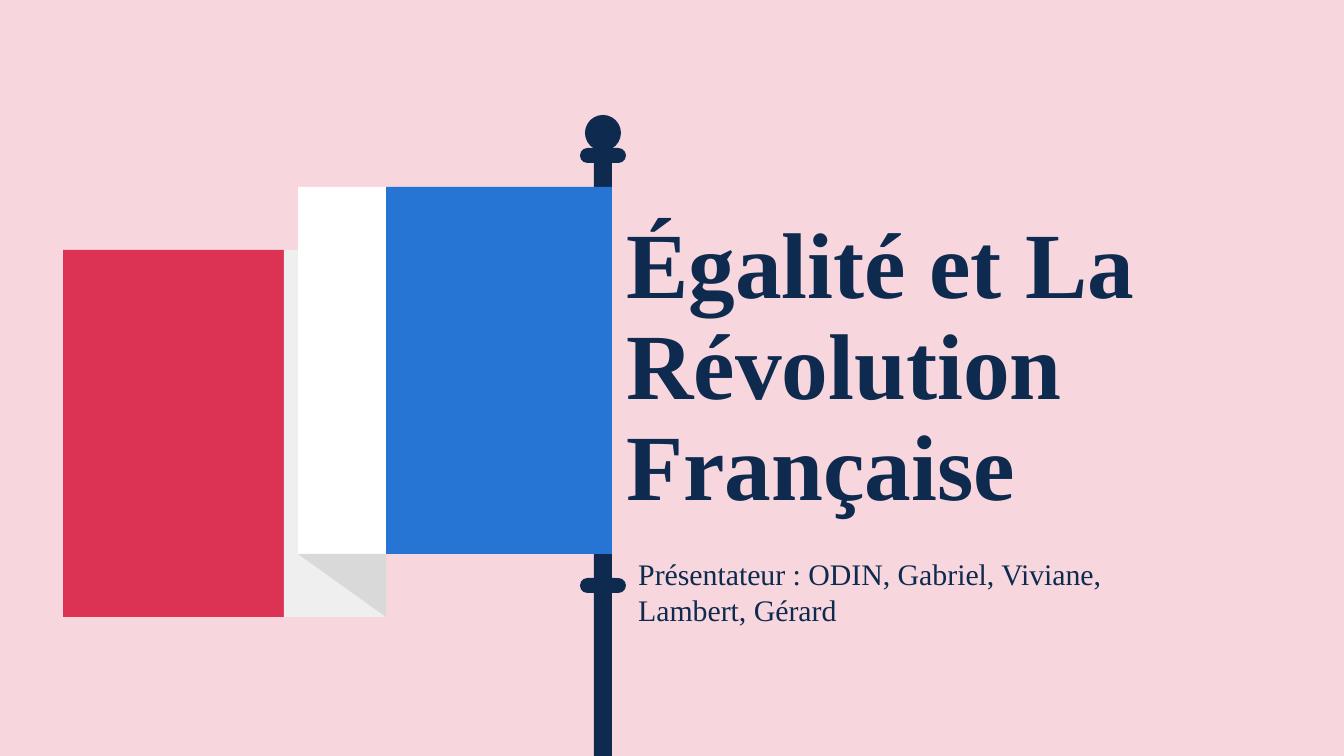
from pptx import Presentation
from pptx import util as u
from pptx.dml.color import RGBColor
from pptx.enum import shapes, text

PX = 914400 / 134.4
WIDE, HIGH = 1344, 756
FONT = "Times New Roman"
HUES = {
    "pink": "F7D6DD", "navy": "0E2B4F", "red": "DC3354", "blue": "2674D4",
    "pale": "EFEFEF", "grey": "D9D9D9", "white": "FFFFFF",
}

TITLE = "Égalité et La Révolution Française"
CAST = "Présentateur : ODIN, Gabriel, Viviane, Lambert, Gérard"

KIND = shapes.MSO_SHAPE
POLE = [  # kind, left, top, width, height
    (KIND.RECTANGLE, 594, 156, 18, HIGH - 156),
    (KIND.ROUNDED_RECTANGLE, 580, 148, 46, 15),
    (KIND.ROUNDED_RECTANGLE, 580, 578, 46, 15),
    (KIND.OVAL, 585, 115, 36, 36),
]

# The flag hangs at two levels, with a fold between them
TALL, HIGH_TOP, LOW_TOP = 367, 187, 250
EDGE, SEAM, FOLD, BEND, MAST = 63, 284, 298, 386, 612
BANDS = [  # hue, left, right, top
    ("red", EDGE, SEAM, LOW_TOP),
    ("pale", SEAM, BEND, LOW_TOP),
    ("blue", BEND, MAST, HIGH_TOP),
    ("white", FOLD, BEND, HIGH_TOP),
]
SHADE = [(FOLD, HIGH_TOP + TALL), (BEND, LOW_TOP + TALL), (BEND, HIGH_TOP + TALL)]


def px(n):
    return u.Emu(round(n * PX))


def rgb(hue):
    return RGBColor.from_string(HUES[hue])


def paint(shape, hue):
    shape.shadow.inherit = False
    shape.fill.solid()
    shape.fill.fore_color.rgb = rgb(hue)
    shape.line.fill.background()


def write(shape, words, look, anchor):
    frame = shape.text_frame
    frame.text = words
    form = {
        "word_wrap": True, "auto_size": text.MSO_AUTO_SIZE.NONE,
        "vertical_anchor": anchor,
    }
    for side in ("left", "right", "top", "bottom"):
        form["margin_" + side] = u.Inches(0.1)
    for key, val in form.items():
        setattr(frame, key, val)
    para = frame.paragraphs[0]
    para.alignment = text.PP_ALIGN.LEFT
    font = para.runs[0].font
    for key, val in look.items():
        setattr(font, key, val)
    font.color.rgb = rgb("navy")
    return para


def main():
    deck = Presentation()
    deck.slide_width, deck.slide_height = px(WIDE), px(HIGH)
    slide = deck.slides.add_slide(deck.slide_layouts[5])
    slide.background.fill.solid()
    slide.background.fill.fore_color.rgb = rgb("pink")

    title = slide.shapes.title
    title.left, title.top, title.width, title.height = map(px, (613, 254, 774, 231))
    look = {"name": FONT, "size": u.Pt(50), "bold": True}
    write(title, TITLE, look, text.MSO_ANCHOR.MIDDLE).line_spacing = 0.9

    cast = slide.shapes.add_textbox(*map(px, (625, 542, 594, 102)))
    write(cast, CAST, {"name": FONT, "size": u.Pt(16)}, text.MSO_ANCHOR.TOP)

    pole = slide.shapes.add_group_shape()
    for kind, *box in POLE:
        part = pole.shapes.add_shape(kind, *map(px, box))
        paint(part, "navy")
        if kind == KIND.ROUNDED_RECTANGLE:
            part.adjustments[0] = 0.5

    flag = slide.shapes.add_group_shape()
    for hue, left, right, top in BANDS:
        box = left, top, right - left, TALL
        paint(flag.shapes.add_shape(KIND.RECTANGLE, *map(px, box)), hue)
    pen = flag.shapes.build_freeform(*SHADE[0], scale=PX)
    pen.add_line_segments(SHADE[1:], close=True)
    paint(pen.convert_to_shape(), "grey")

    deck.save("out.pptx")


if __name__ == "__main__":
    main()
